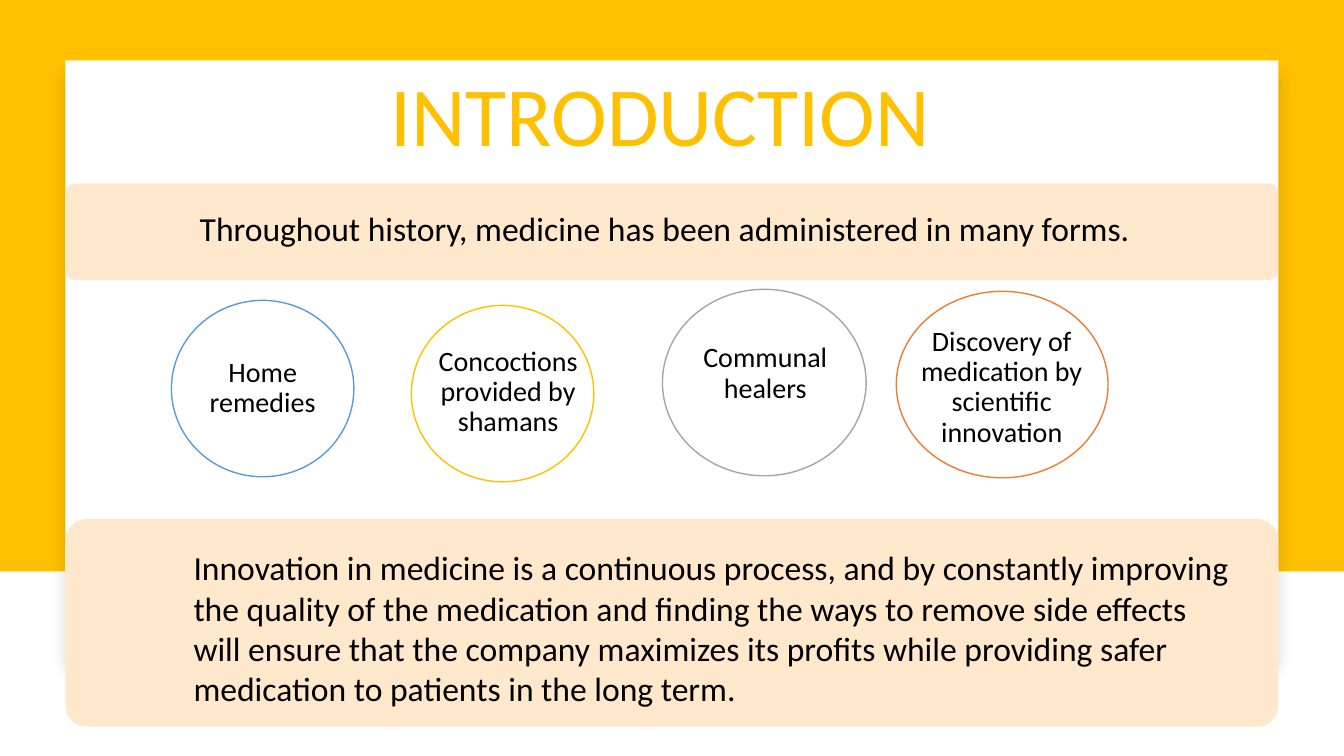
from dataclasses import dataclass

from lxml.etree import SubElement
from pptx import Presentation
from pptx.dml.color import RGBColor
from pptx.enum.shapes import MSO_SHAPE as Shape
from pptx.enum.text import MSO_ANCHOR as Anchor, MSO_AUTO_SIZE as AutoSize, PP_ALIGN as Align
from pptx.oxml.ns import qn
from pptx.util import Inches, Pt


@dataclass(frozen=True)
class Theme:
    font: str = "Calibri"
    gold: str = "FFC000"
    white: str = "FFFFFF"
    peach: str = "FFE8CC"
    black: str = "000000"
    blue: str = "5B9BD5"
    gray: str = "A5A5A5"
    orange: str = "ED7D31"
    title_size: int = 60
    body_size: int = 24
    label_size: int = 20


THEME = Theme()

BANNERS = [
    ((0.65, 1.82, 12.03, 0.96), (1.82, 2.1, 9.82, 0.32),
     "Throughout history, medicine has been administered in many forms."),
    ((0.65, 5.15, 12.03, 2.06), (1.76, 5.4, 10.67, 1.66),
     "Innovation in medicine is a continuous process, and by constantly improving "
     "the quality of the medication and finding the ways to remove side effects will "
     "ensure that the company maximizes its profits while providing safer medication "
     "to patients in the long term."),
]

CIRCLES = [
    ((8.89, 2.89, 2.1, 1.85), (8.91, 3.3, 2.05, 1.09), THEME.orange,
     "Discovery of medication by scientific innovation"),
    ((6.57, 2.87, 2.02, 1.85), (6.87, 3.05, 1.44, 1.32), THEME.gray, "Communal healers"),
    ((4.08, 3.03, 1.81, 1.75), (4.03, 3.27, 2.02, 1.25), THEME.gold,
     "Concoctions provided by shamans"),
    ((1.7, 2.98, 1.81, 1.75), (1.96, 3.23, 1.29, 1.25), THEME.blue, "Home remedies"),
]


def to_inches(box):
    return [Inches(length) for length in box]


def add_block(slide, kind, box, fill, outline=None):
    shape = slide.shapes.add_shape(kind, *to_inches(box))
    shape.shadow.inherit = False
    shape.fill.solid()
    shape.fill.fore_color.rgb = RGBColor.from_string(fill)
    if outline:
        shape.line.color.rgb = RGBColor.from_string(outline)
        shape.line.width = Pt(1)
    else:
        shape.line.fill.background()
    return shape


def add_soft_shadow(shape):
    effects = shape.element.spPr.find(qn("a:effectLst"))
    shadow = SubElement(effects, qn("a:outerShdw"), blurRad=str(Pt(11)), dist=str(Pt(10)),
                        dir=str(90 * 60000), algn="t", rotWithShape="0")
    color = SubElement(shadow, qn("a:srgbClr"), val=THEME.black)
    SubElement(color, qn("a:alpha"), val="15000")


def write_text(shape, text, size, color, align, line_spacing=None):
    frame = shape.text_frame
    frame.word_wrap = True
    frame.auto_size = AutoSize.NONE
    frame.text = text
    paragraph = frame.paragraphs[0]
    paragraph.alignment = align
    paragraph.space_before = Pt(0)
    if line_spacing:
        paragraph.line_spacing = line_spacing
    paragraph.font.name = THEME.font
    paragraph.font.size = Pt(size)
    paragraph.font.color.rgb = RGBColor.from_string(color)


def add_text(slide, box, text, size, inset, align, line_spacing=None):
    shape = slide.shapes.add_textbox(*to_inches(box))
    frame = shape.text_frame
    frame.margin_left = frame.margin_right = Inches(inset)
    frame.margin_top = frame.margin_bottom = Inches(inset)
    frame.vertical_anchor = Anchor.MIDDLE
    write_text(shape, text, size, THEME.black, align, line_spacing)


def place_title(slide, box, text):
    title = slide.shapes.title
    title.left, title.top, title.width, title.height = to_inches(box)
    title.text_frame.vertical_anchor = Anchor.TOP
    write_text(title, text, THEME.title_size, THEME.gold, Align.CENTER, 0.9)
    title.element.getparent().append(title.element)


def add_banner(slide, panel_box, text_box, text):
    panel = add_block(slide, Shape.ROUNDED_RECTANGLE, panel_box, THEME.peach)
    panel.adjustments[0] = 0.1
    add_text(slide, text_box, text, THEME.body_size, 0.16, Align.LEFT)


def add_circle(slide, circle_box, text_box, outline, text):
    add_block(slide, Shape.OVAL, circle_box, THEME.white, outline)
    add_text(slide, text_box, text, THEME.label_size, 0.02, Align.CENTER, 0.9)


def main():
    presentation = Presentation()
    presentation.slide_width = Inches(13.33)
    presentation.slide_height = Inches(7.5)
    slide = presentation.slides.add_slide(presentation.slide_layouts[5])

    add_block(slide, Shape.RECTANGLE, (0, 0, 13.33, 5.67), THEME.gold)
    card = add_block(slide, Shape.RECTANGLE, (0.65, 0.6, 12.03, 5.91), THEME.white)
    add_soft_shadow(card)
    place_title(slide, (1.55, 0.68, 10, 0.89), "INTRODUCTION")

    for banner in BANNERS:
        add_banner(slide, *banner)
    for circle in CIRCLES:
        add_circle(slide, *circle)

    presentation.save("out.pptx")


if __name__ == "__main__":
    main()
